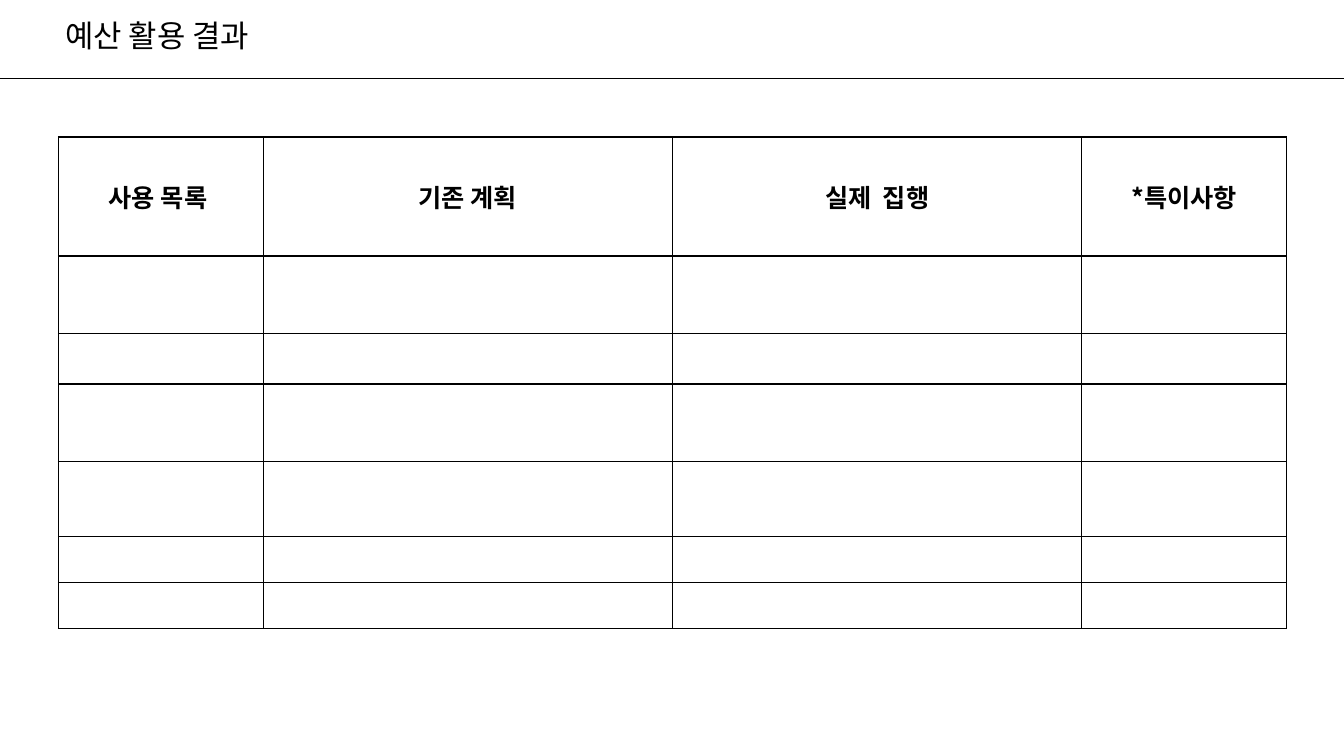
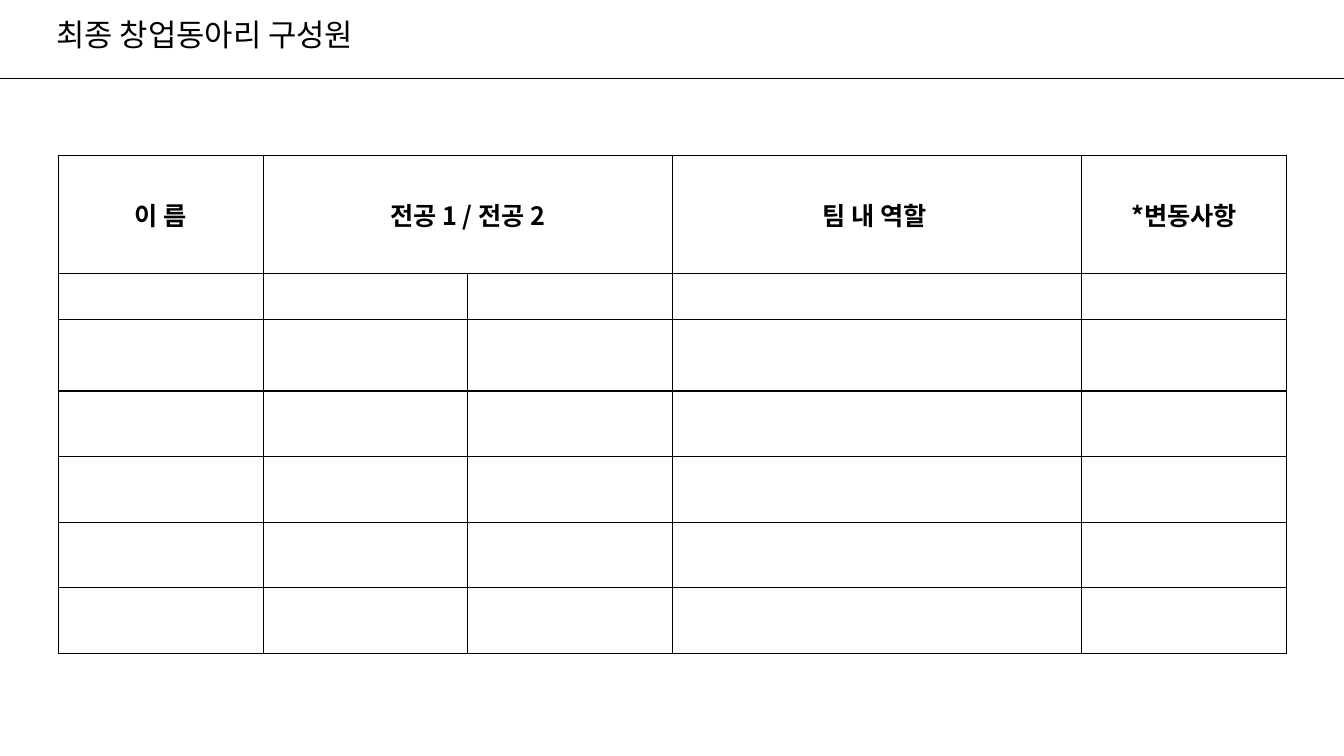
from lxml import etree
from pptx import Presentation
from pptx.dml.color import RGBColor
from pptx.enum.shapes import MSO_CONNECTOR
from pptx.enum.text import MSO_ANCHOR, MSO_AUTO_SIZE, PP_ALIGN
from pptx.oxml.ns import qn
from pptx.util import Inches, Pt

STRAIGHT = MSO_CONNECTOR.STRAIGHT
MIDDLE = MSO_ANCHOR.MIDDLE
NO_AUTOFIT = MSO_AUTO_SIZE.NONE
LEFT, CENTER = PP_ALIGN.LEFT, PP_ALIGN.CENTER

# Content: columns are (heading, width, number of grid columns)
SLIDES = [
    {
        "title": "예산 활용 결과",
        "title_position": (0.55, 0.16),
        "table_top": 1.36,
        "columns": [("사용 목록 ", 2.03, 1), ("기존 계획", 4.06, 1),
                    ("실제  집행", 4.06, 1), ("*특이사항", 2.03, 1)],
        "row_heights": [1.18, 0.77, 0.5, 0.77, 0.74, 0.46, 0.46],
    },
    {
        "title": "최종 창업동아리 구성원",
        "title_position": (0.46, 0.15),
        "table_top": 1.54,
        "columns": [("이 름", 2.03, 1), ("전공 1 / 전공 2", 4.06, 2),
                    ("팀 내 역할 ", 4.06, 1), ("*변동사항", 2.03, 1)],
        "row_heights": [1.17, 0.46, 0.71] + [0.65] * 4,
    },
]

# Shared style
SLIDE_WIDTH, SLIDE_HEIGHT = 13.33, 7.5
TITLE_WIDTH, TITLE_HEIGHT = 5.15, 0.42
RULE_TOP = 0.78
TABLE_LEFT = 0.58
BLACK, WHITE = "000000", "FFFFFF"
FONT = "Noto Sans CJK KR"
LINE_WIDTH = Pt(1)
TITLE_FORMAT = {"size": Pt(22), "name": FONT, "bold": False}
HEADING_FORMAT = {"size": Pt(18), "name": FONT, "bold": True}


def color(value):
    return RGBColor.from_string(value)


def write_text(frame, text, font_format, alignment):
    paragraph = frame.paragraphs[0]
    paragraph.alignment = alignment
    run = paragraph.add_run()
    run.text = text
    for name, value in font_format.items():
        setattr(run.font, name, value)
    run.font.color.rgb = color(BLACK)
    # Korean letters take the East Asian typeface
    east_asian = etree.SubElement(run.font._element, qn("a:ea"))
    east_asian.set("typeface", FONT)


def add_title(slide, text, position):
    title = slide.shapes.title
    title.left, title.top = (Inches(value) for value in position)
    title.width, title.height = Inches(TITLE_WIDTH), Inches(TITLE_HEIGHT)
    frame = title.text_frame
    frame.auto_size = NO_AUTOFIT
    frame.word_wrap = True
    frame.vertical_anchor = MIDDLE
    write_text(frame, text, TITLE_FORMAT, LEFT)
    frame.paragraphs[0].line_spacing = 0.9


def add_rule(slide):
    rule = slide.shapes.add_connector(
        STRAIGHT, 0, Inches(RULE_TOP), Inches(SLIDE_WIDTH), Inches(RULE_TOP))
    rule.line.color.rgb = color(BLACK)
    rule.line.width = LINE_WIDTH
    etree.SubElement(rule._element.spPr, qn("a:effectLst"))


def format_cell(cell):
    cell.fill.solid()
    cell.fill.fore_color.rgb = color(WHITE)
    cell.vertical_anchor = MIDDLE
    properties = cell._tc.get_or_add_tcPr()
    # Borders come before the fill
    for index, side in enumerate(("a:lnL", "a:lnR", "a:lnT", "a:lnB")):
        border = etree.Element(qn(side), w=str(LINE_WIDTH))
        fill = etree.SubElement(border, qn("a:solidFill"))
        etree.SubElement(fill, qn("a:srgbClr"), val=BLACK)
        properties.insert(index, border)


def add_table(slide, top, columns, row_heights):
    widths = [width / span for _, width, span in columns for _ in range(span)]
    table = slide.shapes.add_table(
        len(row_heights), len(widths), Inches(TABLE_LEFT), Inches(top),
        Inches(sum(widths)), Inches(sum(row_heights))).table
    table.first_row = table.horz_banding = False
    for column, width in zip(table.columns, widths):
        column.width = Inches(width)
    for row, height in zip(table.rows, row_heights):
        row.height = Inches(height)
    for cell in table.iter_cells():
        format_cell(cell)

    # Headings, merged where they cover several grid columns
    first = 0
    for heading, _, span in columns:
        cell = table.cell(0, first)
        if span > 1:
            cell.merge(table.cell(0, first + span - 1))
        write_text(cell.text_frame, heading, HEADING_FORMAT, CENTER)
        first += span


def main():
    presentation = Presentation()
    presentation.slide_width = Inches(SLIDE_WIDTH)
    presentation.slide_height = Inches(SLIDE_HEIGHT)
    title_only = presentation.slide_layouts[5]
    for content in SLIDES:
        slide = presentation.slides.add_slide(title_only)
        add_title(slide, content["title"], content["title_position"])
        add_rule(slide)
        add_table(slide, content["table_top"], content["columns"],
                  content["row_heights"])
    presentation.save("out.pptx")


if __name__ == "__main__":
    main()
